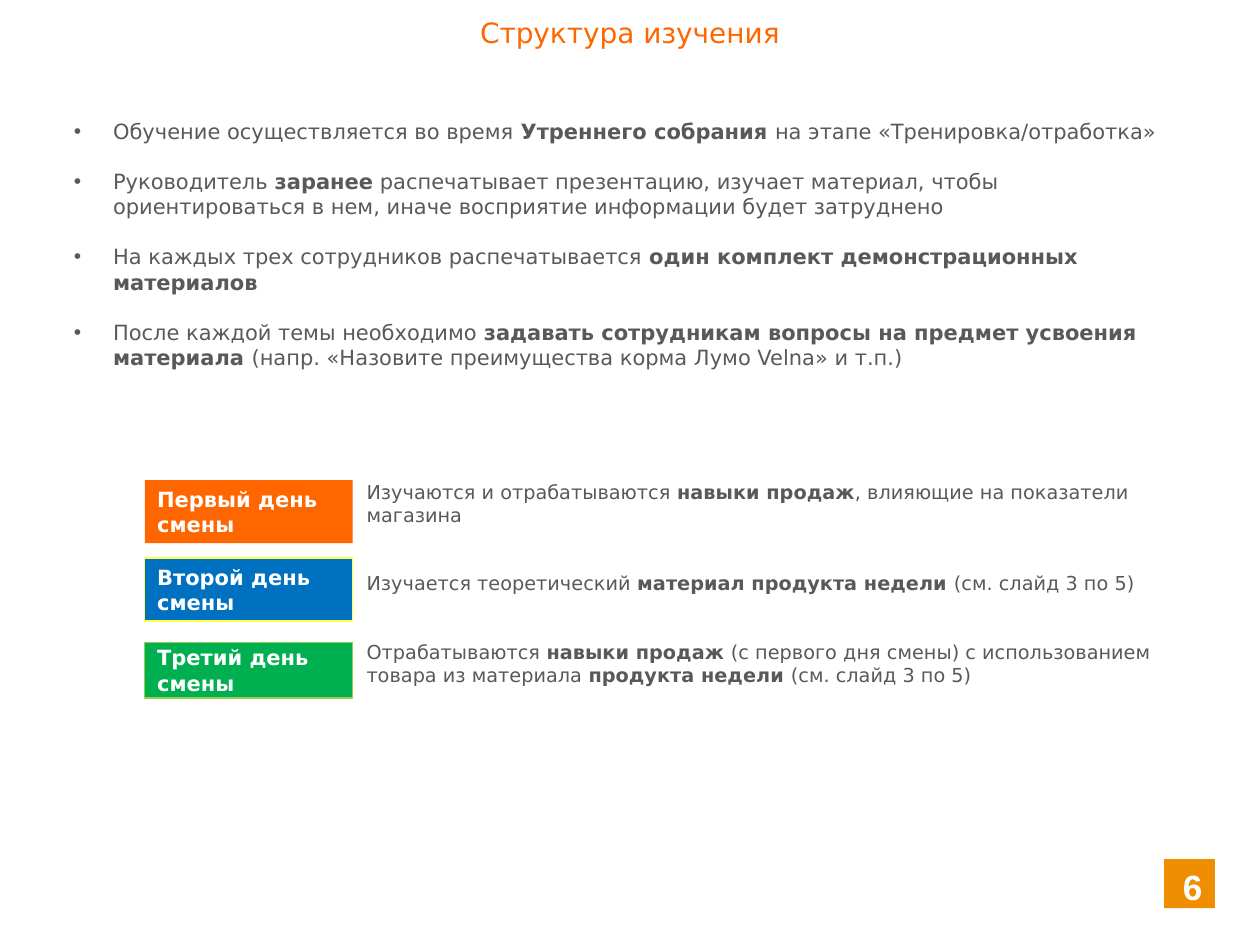
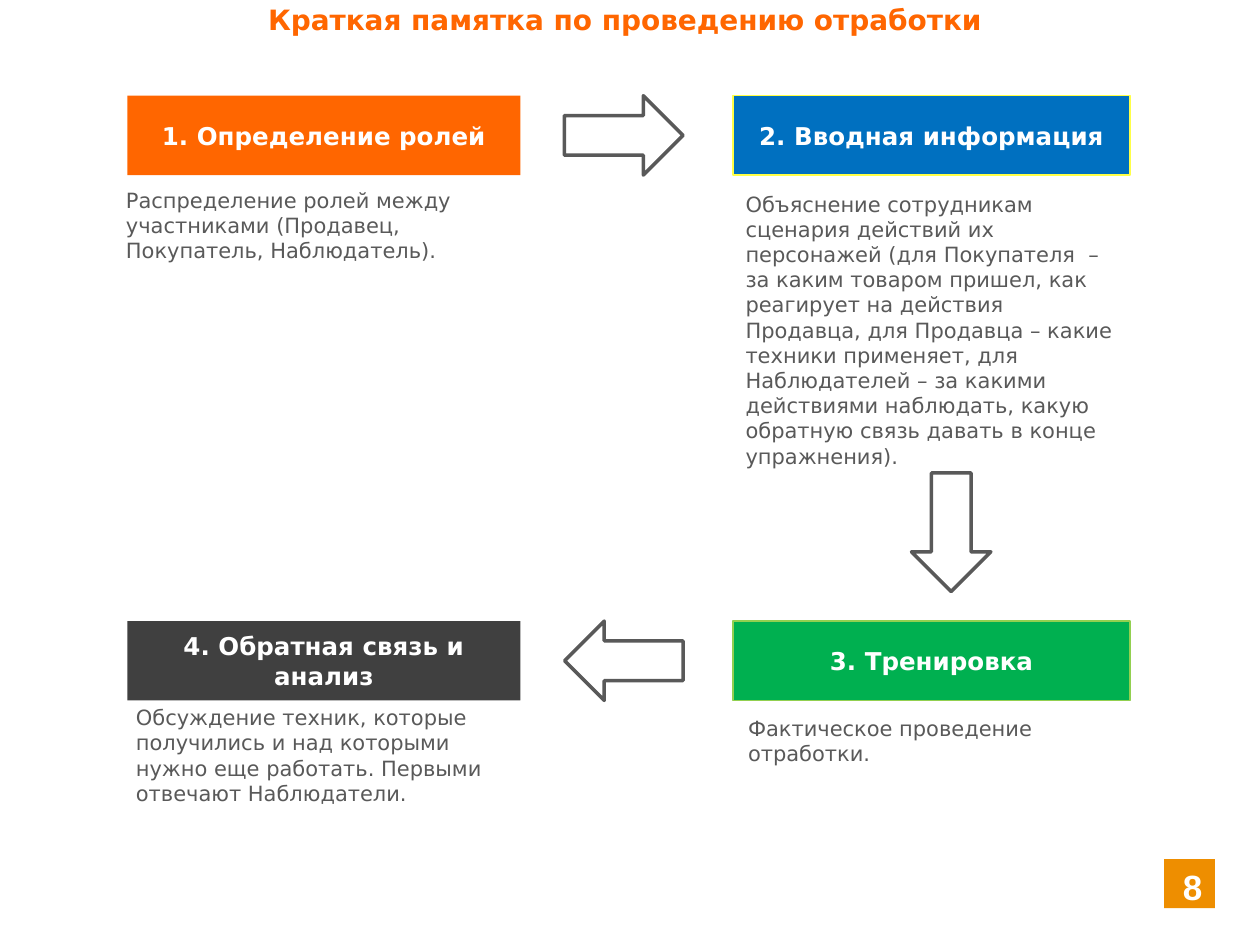
from dataclasses import dataclass
from typing import NamedTuple

from lxml import etree
from pptx import Presentation
from pptx.dml.color import RGBColor
from pptx.enum.shapes import MSO_SHAPE
from pptx.enum.text import MSO_ANCHOR, PP_ALIGN
from pptx.oxml.ns import qn
from pptx.util import Cm, Pt

RECTANGLE = MSO_SHAPE.RECTANGLE
RIGHT_ARROW = MSO_SHAPE.RIGHT_ARROW
TOP = MSO_ANCHOR.TOP
MIDDLE = MSO_ANCHOR.MIDDLE
LEFT = PP_ALIGN.LEFT
CENTER = PP_ALIGN.CENTER
RIGHT = PP_ALIGN.RIGHT

COLORS = {
    "orange": "FF6600",
    "blue": "0070C0",
    "green": "00B050",
    "dark": "404040",
    "amber": "EE8E00",
    "yellow": "FFFF47",
    "lime": "92D050",
    "gray": "595959",
    "white": "FFFFFF",
}
BODY_FONT = "DejaVu Sans"
NUMBER_FONT = "Arial"
BULLET_INDENT = Cm(0.79)
PAGE_WIDTH = 25.4
HEADER_HEIGHT = 1.6
ARROW_WIDTH = 2.39
UPPER_ROW, LOWER_ROW = 1.93, 12.52
LEFT_COLUMN, RIGHT_COLUMN = 2.57, 14.78
LEFT_WIDTH, RIGHT_WIDTH = 7.92, 8.0


class Span(NamedTuple):
    text: str
    bold: bool = False


class Area(NamedTuple):
    left: float
    top: float
    width: float
    height: float


Paragraph = tuple[Span, ...]


@dataclass(frozen=True)
class TextStyle:
    size: float
    color: str = "gray"
    font: str = BODY_FONT
    align: PP_ALIGN = LEFT
    anchor: MSO_ANCHOR = TOP
    gap: float = 0
    bullet: str = ""


@dataclass(frozen=True)
class Label:
    text: str
    area: Area
    fill: str
    outline: str = ""


@dataclass(frozen=True)
class Note:
    text: str
    area: Area
    anchor: MSO_ANCHOR = MIDDLE


@dataclass(frozen=True)
class Arrow:
    left: float
    top: float
    rotation: int = 0


TITLE_STYLE = TextStyle(16, "orange", align=CENTER)
DAY_STYLE = TextStyle(12, "white", anchor=MIDDLE)
STEP_STYLE = TextStyle(14, "white", align=CENTER, anchor=MIDDLE)
NUMBER_STYLE = TextStyle(20, "white", NUMBER_FONT, RIGHT)
RULES_STYLE = TextStyle(12, gap=14.3, bullet="•")
TASKS_STYLE = TextStyle(11, gap=26)

RULES: list[Paragraph] = [
    (
        Span("Обучение осуществляется во время "),
        Span("Утреннего собрания ", True),
        Span("на этапе «Тренировка/отработка»"),
    ),
    (
        Span("Руководитель "),
        Span("заранее", True),
        Span(" распечатывает презентацию, изучает материал, чтобы "
             "ориентироваться в нем, иначе восприятие информации будет затруднено"),
    ),
    (
        Span("На каждых трех сотрудников распечатывается "),
        Span("один комплект демонстрационных материалов", True),
    ),
    (
        Span("После каждой темы необходимо "),
        Span("задавать сотрудникам вопросы на предмет усвоения материала ", True),
        Span("(напр. «Назовите преимущества корма Лумо Velna» и т.п.)"),
    ),
]

TASKS: list[Paragraph] = [
    (
        Span("Изучаются и отрабатываются "),
        Span("навыки продаж", True),
        Span(", влияющие на показатели магазина"),
    ),
    (
        Span("Изучается теоретический "),
        Span("материал продукта недели ", True),
        Span("(см. слайд 3 по 5)"),
    ),
    (
        Span("Отрабатываются "),
        Span("навыки продаж ", True),
        Span("(с первого дня смены) с использованием товара из материала "),
        Span("продукта недели ", True),
        Span("(см. слайд 3 по 5)"),
    ),
]

DAYS = [
    Label("Первый день смены", Area(2.92, 9.68, 4.19, 1.27), "orange"),
    Label("Второй день смены", Area(2.92, 11.25, 4.19, 1.27), "blue", "yellow"),
    Label("Третий день смены", Area(2.92, 12.95, 4.19, 1.12), "green", "lime"),
]

STEPS = [
    Label("1. Определение ролей",
          Area(LEFT_COLUMN, UPPER_ROW, LEFT_WIDTH, HEADER_HEIGHT), "orange"),
    Label("2. Вводная информация",
          Area(RIGHT_COLUMN, UPPER_ROW, RIGHT_WIDTH, HEADER_HEIGHT), "blue", "yellow"),
    Label("3. Тренировка",
          Area(RIGHT_COLUMN, LOWER_ROW, RIGHT_WIDTH, HEADER_HEIGHT), "green", "lime"),
    Label("4. Обратная связь и анализ",
          Area(LEFT_COLUMN, LOWER_ROW, LEFT_WIDTH, HEADER_HEIGHT), "dark"),
]

ARROWS = [
    Arrow(11.38, UPPER_ROW),
    Arrow(17.98, 9.93, 90),
    Arrow(11.38, LOWER_ROW, 180),
]

NOTES = [
    Note("Распределение ролей между участниками (Продавец, Покупатель, Наблюдатель).",
         Area(2.29, 3.53, 8.2, 2.01)),
    Note("Объяснение сотрудникам сценария действий их персонажей "
         "(для Покупателя  – за каким товаром пришел, как реагирует на действия "
         "Продавца, для Продавца – какие техники применяет, для Наблюдателей – "
         "за какими действиями наблюдать, какую обратную связь давать в конце "
         "упражнения).",
         Area(RIGHT_COLUMN, 3.73, 8.0, 7.01), TOP),
    Note("Фактическое проведение отработки.", Area(14.83, 14.12, 8.28, 1.63)),
    Note("Обсуждение техник, которые получились и над которыми нужно еще работать. "
         "Первыми отвечают Наблюдатели.",
         Area(2.49, 14.12, 8.0, 2.21)),
]


def rgb(name: str) -> RGBColor:
    return RGBColor.from_string(COLORS[name])


def add_bullet(para, style: TextStyle) -> None:
    properties = para._p.get_or_add_pPr()
    properties.set("marL", str(BULLET_INDENT))
    properties.set("indent", str(-BULLET_INDENT))
    color = etree.SubElement(properties, qn("a:buClr"))
    etree.SubElement(color, qn("a:srgbClr"), val=COLORS[style.color])
    etree.SubElement(properties, qn("a:buFont"), typeface=NUMBER_FONT)
    etree.SubElement(properties, qn("a:buChar"), char=style.bullet)


def write_text(box, paragraphs: list[Paragraph], style: TextStyle) -> None:
    frame = box.text_frame
    frame.word_wrap = True
    frame.vertical_anchor = style.anchor
    for index, spans in enumerate(paragraphs):
        para = frame.add_paragraph() if index else frame.paragraphs[0]
        para.alignment = style.align
        if index:
            para.space_before = Pt(style.gap)
        if style.bullet:
            add_bullet(para, style)
        for span in spans:
            run = para.add_run()
            run.text = span.text
            run.font.name = style.font
            run.font.size = Pt(style.size)
            run.font.bold = span.bold
            run.font.color.rgb = rgb(style.color)


def add_text(page, area: Area, paragraphs: list[Paragraph], style: TextStyle) -> None:
    box = page.shapes.add_textbox(*map(Cm, area))
    write_text(box, paragraphs, style)


def add_figure(page, kind: MSO_SHAPE, area: Area, fill: str,
               outline: str = "", weight: float = 0.75):
    figure = page.shapes.add_shape(kind, *map(Cm, area))
    figure.shadow.inherit = False
    figure.fill.solid()
    figure.fill.fore_color.rgb = rgb(fill)
    if outline:
        figure.line.color.rgb = rgb(outline)
        figure.line.width = Pt(weight)
    else:
        figure.line.fill.background()
    return figure


def add_label(page, label: Label, style: TextStyle) -> None:
    box = add_figure(page, RECTANGLE, label.area, label.fill, label.outline)
    write_text(box, [(Span(label.text, True),)], style)


def add_arrow(page, arrow: Arrow) -> None:
    area = Area(arrow.left, arrow.top, ARROW_WIDTH, HEADER_HEIGHT)
    figure = add_figure(page, RIGHT_ARROW, area, "white", "gray", 2)
    figure.rotation = arrow.rotation


def add_page(deck, title: Span, title_top: float, number: int):
    page = deck.slides.add_slide(deck.slide_layouts[6])
    add_text(page, Area(0, title_top, PAGE_WIDTH, 0.94), [(title,)], TITLE_STYLE)
    add_label(page, Label(str(number), Area(23.47, 17.32, 1.02, 0.99), "amber"),
              NUMBER_STYLE)
    return page


def build_structure(deck) -> None:
    page = add_page(deck, Span("Структура изучения"), 0.18, 6)
    add_text(page, Area(1.24, 2.26, 22.99, 4.83), RULES, RULES_STYLE)
    add_text(page, Area(7.14, 9.55, 16.99, 3.99), TASKS, TASKS_STYLE)
    for day in DAYS:
        add_label(page, day, DAY_STYLE)


def build_memo(deck) -> None:
    page = add_page(deck, Span("Краткая памятка по проведению отработки ", True), -0.08, 8)
    for step in STEPS:
        add_label(page, step, STEP_STYLE)
    for arrow in ARROWS:
        add_arrow(page, arrow)
    for note in NOTES:
        add_text(page, note.area, [(Span(note.text),)], TextStyle(12, anchor=note.anchor))


def main() -> None:
    deck = Presentation()
    deck.slide_width = Cm(PAGE_WIDTH)
    deck.slide_height = Cm(19.05)
    build_structure(deck)
    build_memo(deck)
    deck.save("out.pptx")


if __name__ == "__main__":
    main()
